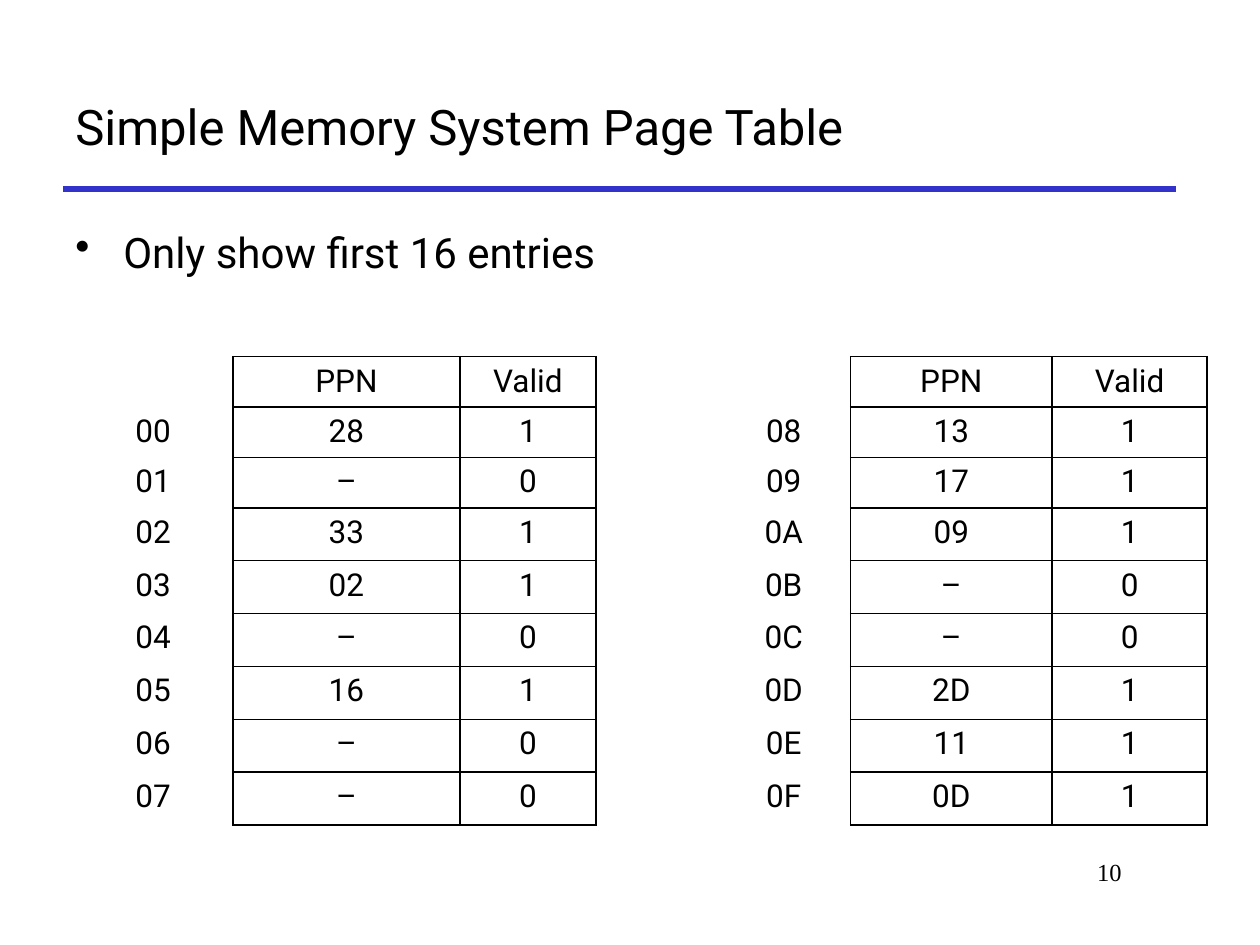
from lxml.etree import SubElement
from pptx import Presentation
from pptx.dml.color import RGBColor
from pptx.enum.shapes import MSO_CONNECTOR
from pptx.enum.text import MSO_ANCHOR, PP_ALIGN
from pptx.oxml.ns import qn
from pptx.util import Inches, Pt

COLORS = {"ink": "000000", "rule": "3333CC"}
NO_STYLE = "{2D5ABB26-0587-4C30-8999-92F81FD0307C}"
ROW_HEIGHTS = [0.4] * 3 + [0.42] * 6


class PageTableSlide:
    """Holds the style and the current slide, and draws its elements."""

    def __init__(self, slide, font="Roboto"):
        self.slide = slide
        self.font = font

    def style(self, paragraph, size, align, font=None):
        paragraph.alignment = align
        for run in paragraph.runs:
            run.font.name = font or self.font
            run.font.size = Pt(size)
            run.font.color.rgb = RGBColor.from_string(COLORS["ink"])

    def text(self, words, box, size, align=PP_ALIGN.LEFT, anchor=MSO_ANCHOR.TOP,
             font=None, bullet=None):
        frame = self.slide.shapes.add_textbox(*map(Inches, box)).text_frame
        frame.word_wrap = True
        frame.vertical_anchor = anchor
        paragraph = frame.paragraphs[0]
        paragraph.text = words
        if bullet:
            properties = paragraph._p.get_or_add_pPr()
            properties.set("marL", str(Inches(0.38)))
            properties.set("indent", str(-Inches(0.38)))
            SubElement(properties, qn("a:buChar"), char=bullet)
        self.style(paragraph, size, align, font)

    def rule(self, left, right, y, width):
        line = self.slide.shapes.add_connector(
            MSO_CONNECTOR.STRAIGHT, Inches(left), Inches(y), Inches(right), Inches(y))
        line.line.color.rgb = RGBColor.from_string(COLORS["rule"])
        line.line.width = Pt(width)
        SubElement(line._element.spPr, qn("a:effectLst"))

    def borders(self, cell, sides):
        properties = cell._tc.get_or_add_tcPr()
        for side in sides:
            edge = SubElement(properties, qn(f"a:ln{side}"), w=str(Pt(1)))
            fill = SubElement(edge, qn("a:solidFill"))
            SubElement(fill, qn("a:srgbClr"), val=COLORS["ink"])

    def page_table(self, left, top, widths, first_page, frames):
        rows = [("", "PPN", "Valid")]
        for page, ppn in enumerate(frames, first_page):
            rows.append((f"{page:02X}", ppn, "0" if ppn == "–" else "1"))
        graphic = self.slide.shapes.add_table(
            len(rows), len(widths), Inches(left), Inches(top),
            Inches(sum(widths)), Inches(sum(ROW_HEIGHTS)))
        table = graphic.table
        table.first_row = table.horz_banding = False
        table._tbl.tblPr.find(qn("a:tableStyleId")).text = NO_STYLE
        for column, width in zip(table.columns, widths):
            column.width = Inches(width)
        for r, (values, height) in enumerate(zip(rows, ROW_HEIGHTS)):
            table.rows[r].height = Inches(height)
            for c, value in enumerate(values):
                cell = table.cell(r, c)
                cell.margin_bottom = 0
                self.borders(cell, "LRTB" if c else "R")
                cell.fill.background()
                cell.text_frame.text = value
                self.style(cell.text_frame.paragraphs[0], 18, PP_ALIGN.CENTER)


def main():
    presentation = Presentation()
    presentation.slide_width = Inches(10)
    presentation.slide_height = Inches(7.5)
    page = PageTableSlide(presentation.slides.add_slide(presentation.slide_layouts[6]))

    page.rule(0.5, 9.33, 1.5, 3)
    page.text("10", (7.58, 6.75, 1.42, 0.5), 14, PP_ALIGN.RIGHT, font="Times New Roman")
    page.text("Simple Memory System Page Table", (0.5, 0.5, 8.83, 1), 28,
              anchor=MSO_ANCHOR.MIDDLE)
    page.text("Only show first 16 entries", (0.5, 1.75, 8.25, 0.58), 24, bullet="•")
    page.page_table(0.58, 2.83, (1.27, 1.8, 1.08), 0x00,
                    ("28", "–", "33", "02", "–", "16", "–", "–"))
    page.page_table(5.69, 2.83, (1.06, 1.6, 1.23), 0x08,
                    ("13", "17", "09", "–", "–", "2D", "11", "0D"))
    presentation.save("out.pptx")


if __name__ == "__main__":
    main()
